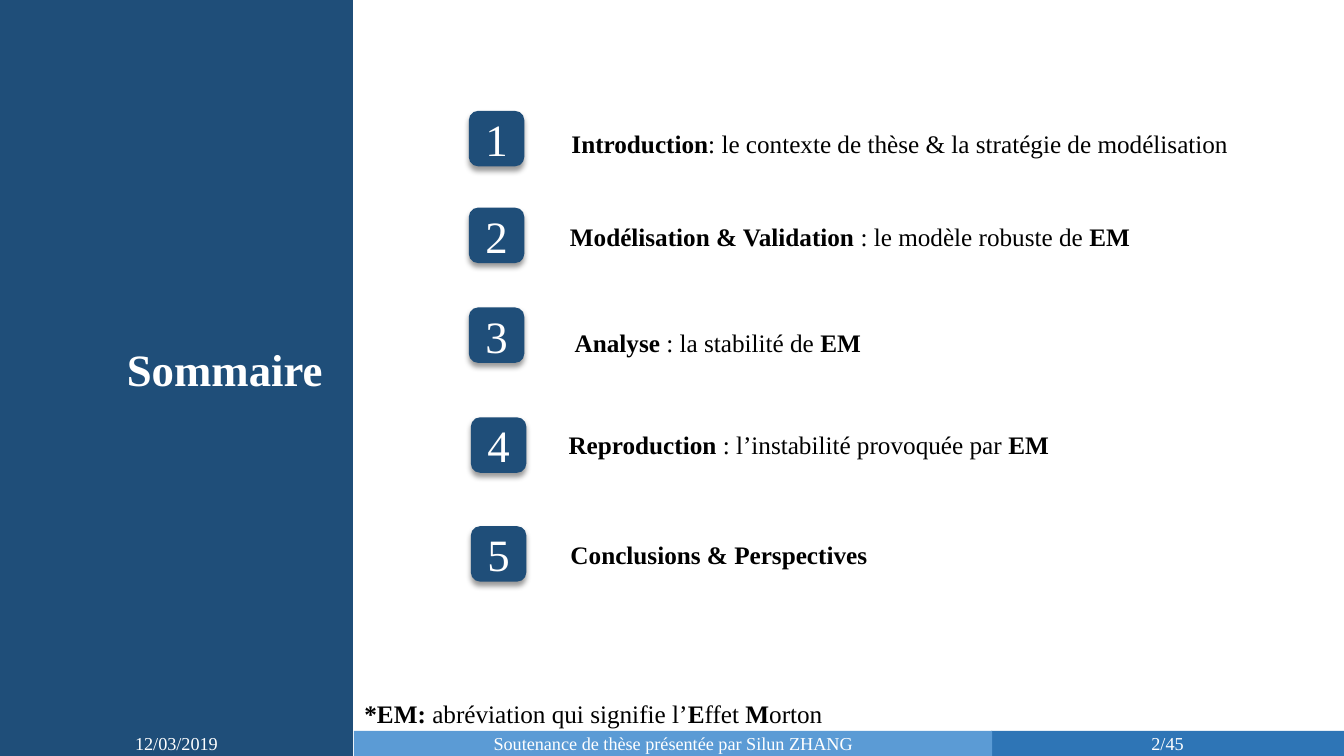
from dataclasses import dataclass

from lxml import etree
from pptx import Presentation
from pptx.dml.color import RGBColor
from pptx.enum.shapes import MSO_SHAPE
from pptx.enum.text import MSO_ANCHOR, MSO_AUTO_SIZE, PP_ALIGN
from pptx.oxml.ns import qn
from pptx.util import Emu, Pt

RECTANGLE, ROUNDED = MSO_SHAPE.RECTANGLE, MSO_SHAPE.ROUNDED_RECTANGLE
MIDDLE = MSO_ANCHOR.MIDDLE
GROW = MSO_AUTO_SIZE.SHAPE_TO_FIT_TEXT
CENTER, LEFT = PP_ALIGN.CENTER, PP_ALIGN.LEFT

PX = 9144  # 100 px to the inch
NAVY, BLUE, SKY = "1F4E79", "2E75B6", "5B9BD5"
WHITE, BLACK = "FFFFFF", "000000"
FONT = "Times New Roman"
BADGE_SIZE = 55
FOOTER_TOP, FOOTER_HEIGHT = 725, 25


@dataclass
class Box:
    left: int
    top: int
    width: int
    height: int

    def emu(self) -> list:
        return [Emu(n * PX) for n in (self.left, self.top, self.width, self.height)]


@dataclass
class Label:
    """Phrases alternate: bold, regular, bold, ..."""
    box: Box
    phrases: tuple
    size: int = 18
    color: str = BLACK
    align: PP_ALIGN = CENTER


@dataclass
class Chapter:
    badge_left: int
    badge_top: int
    label: Label


@dataclass
class FooterCell:
    left: int
    width: int
    fill: str
    text: str


SIDEBAR = Box(-1, 0, 350, 750)
TITLE = Label(Box(115, 334, 216, 64), ("Sommaire",), 32, WHITE)
FOOTNOTE = Label(
    Box(349, 688, 479, 40),
    ("*EM: ", "abréviation qui signifie l’", "E", "ffet ", "M", "orton"),
)
CHAPTERS = [
    Chapter(465, 110, Label(Box(554, 122, 677, 40), (
        "Introduction", ": le contexte de thèse & la stratégie de modélisation"))),
    Chapter(465, 206, Label(Box(554, 215, 578, 40), (
        "Modélisation & Validation", " : le modèle robuste de ", "EM"))),
    Chapter(465, 305, Label(Box(560, 320, 304, 40), (
        "Analyse ", ": la stabilité de ", "EM"))),
    Chapter(467, 414, Label(Box(554, 421, 499, 40), (
        "Reproduction", " : l’instabilité provoquée par ", "EM"), align=LEFT)),
    Chapter(467, 522, Label(Box(554, 530, 318, 40), (
        "Conclusions & Perspectives",))),
]
FOOTER = [
    FooterCell(983, 350, BLUE, "2/45"),
    FooterCell(0, 350, NAVY, "12/03/2019"),
    FooterCell(351, 633, SKY, "Soutenance de thèse présentée par Silun ZHANG"),
]


def rgb(color: str) -> RGBColor:
    return RGBColor.from_string(color)


def add_run(paragraph, text: str, size: int, color: str, bold: bool) -> None:
    run = paragraph.add_run()
    run.text = text
    for name, value in {"name": FONT, "size": Pt(size), "bold": bold}.items():
        setattr(run.font, name, value)
    run.font.color.rgb = rgb(color)


def add_panel(slide, kind: MSO_SHAPE, box: Box, fill: str,
              text: str = "", size: int = 13):
    shape = slide.shapes.add_shape(kind, *box.emu())
    shape.shadow.inherit = False
    shape.fill.solid()
    shape.fill.fore_color.rgb = rgb(fill)
    shape.line.fill.background()
    if text:
        shape.text_frame.vertical_anchor = MIDDLE
        paragraph = shape.text_frame.paragraphs[0]
        paragraph.alignment = CENTER
        add_run(paragraph, text, size, WHITE, False)
    return shape


def add_drop_shadow(shape) -> None:
    effects = shape._element.spPr.find(qn("a:effectLst"))
    shadow = etree.SubElement(effects, qn("a:outerShdw"), {
        "blurRad": str(Pt(4)), "dist": str(Pt(3)),
        "dir": "5400000", "rotWithShape": "0"})
    color = etree.SubElement(shadow, qn("a:srgbClr"), val=BLACK)
    etree.SubElement(color, qn("a:alpha"), val="40000")


def add_label(slide, label: Label) -> None:
    frame = slide.shapes.add_textbox(*label.box.emu()).text_frame
    for name, value in {"word_wrap": False, "auto_size": GROW}.items():
        setattr(frame, name, value)
    paragraph = frame.paragraphs[0]
    paragraph.alignment = label.align
    for index, phrase in enumerate(label.phrases):
        add_run(paragraph, phrase, label.size, label.color, index % 2 == 0)


def main() -> None:
    presentation = Presentation()
    presentation.slide_width = Emu(1333 * PX)
    presentation.slide_height = Emu(750 * PX)
    slide = presentation.slides.add_slide(presentation.slide_layouts[6])

    # Sidebar with the title
    sidebar = add_panel(slide, RECTANGLE, SIDEBAR, NAVY)
    sidebar.line.color.rgb = rgb(NAVY)
    sidebar.line.width = Pt(1)
    add_label(slide, TITLE)

    # Numbered chapters
    for number, chapter in enumerate(CHAPTERS, start=1):
        box = Box(chapter.badge_left, chapter.badge_top, BADGE_SIZE, BADGE_SIZE)
        add_drop_shadow(add_panel(slide, ROUNDED, box, NAVY, str(number), 32))
        add_label(slide, chapter.label)

    # Footer bar and footnote
    for cell in FOOTER:
        box = Box(cell.left, FOOTER_TOP, cell.width, FOOTER_HEIGHT)
        add_panel(slide, RECTANGLE, box, cell.fill, cell.text)
    add_label(slide, FOOTNOTE)

    presentation.save("out.pptx")


if __name__ == "__main__":
    main()
